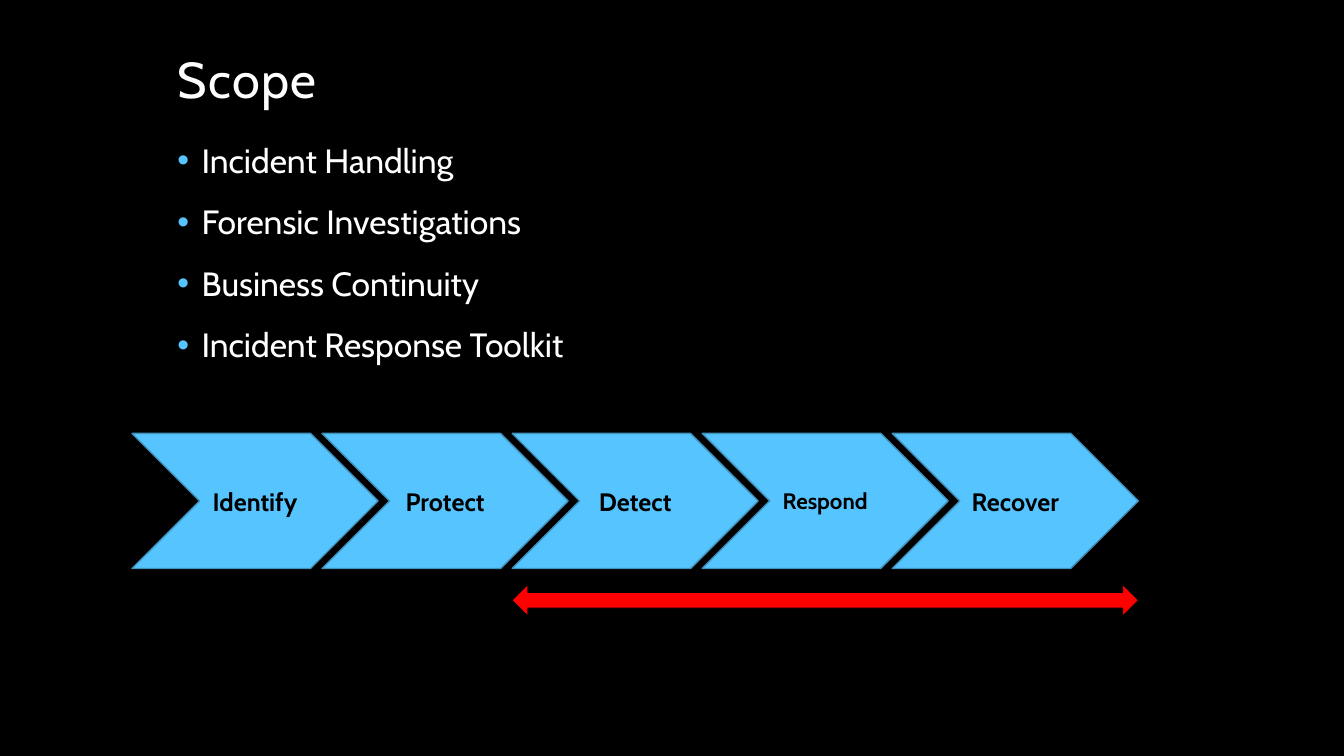
from dataclasses import dataclass

from lxml.etree import SubElement
from pptx import Presentation
from pptx.dml.color import RGBColor
from pptx.enum.shapes import MSO_SHAPE
from pptx.enum.text import MSO_ANCHOR, MSO_AUTO_SIZE, PP_ALIGN
from pptx.oxml.ns import qn
from pptx.util import Inches, Pt


@dataclass(frozen=True)
class Theme:
    """Colours, font and type sizes of the slide."""
    font: str = "Cabin"
    background: str = "000000"
    text: str = "FFFFFF"
    stage_text: str = "000000"
    accent: str = "56C5FF"
    stage_edge: str = "4092BD"
    span: str = "FF0000"
    span_edge: str = "000000"
    title_size: int = 36
    topic_size: int = 24
    stage_size: int = 18
    small_stage_size: int = 16


THEME = Theme()
SLIDE_SIZE = (13.33, 7.5)
TITLE_BOX = (1.66, 0.36, 10, 0.78)
TOPICS_BOX = (1.66, 1.38, 9.99, 4.5)
PROCESS_BOX = (1.31, 4.3, 9.98, 1.81)
TOPICS = ["Incident Handling", "Forensic Investigations",
          "Business Continuity", "Incident Response Toolkit"]
STAGES = ["Identify", "Protect", "Detect", "Respond", "Recover"]
SMALL_STAGE = "Respond"
FIRST_IN_SCOPE = "Detect"


def color(code):
    """Turn a hex code into a colour."""
    return RGBColor.from_string(code)


def write(paragraph, text, *, size, ink, bold=False, align=PP_ALIGN.LEFT,
          line=1.0, before=0, tracking=0):
    """Fill a paragraph with one formatted run."""
    paragraph.alignment = align
    paragraph.line_spacing = line
    paragraph.space_before = Pt(before)
    run = paragraph.add_run()
    run.text = text
    run.font.name = THEME.font
    run.font.size = Pt(size)
    run.font.bold = bold
    run.font.color.rgb = color(ink)
    if tracking:
        run.font._element.set("spc", str(tracking * 100))


def add_bullet(paragraph, indent=0.24):
    """Give a paragraph a coloured round bullet and hanging indent."""
    properties = paragraph._p.get_or_add_pPr()
    properties.set("marL", str(Inches(indent)))
    properties.set("indent", str(-Inches(indent)))
    bullet_color = SubElement(properties, qn("a:buClr"))
    SubElement(bullet_color, qn("a:srgbClr"), val=THEME.accent)
    SubElement(properties, qn("a:buFont"), typeface="Arial")
    SubElement(properties, qn("a:buChar"), char="•")


def place(placeholder, box, anchor):
    """Move a placeholder to its box and return its text frame."""
    (placeholder.left, placeholder.top,
     placeholder.width, placeholder.height) = map(Inches, box)
    frame = placeholder.text_frame
    frame.auto_size = MSO_AUTO_SIZE.NONE
    frame.vertical_anchor = anchor
    return frame


def add_figure(slide, kind, box, fill, edge, edge_width):
    """Add a flat preset shape."""
    figure = slide.shapes.add_shape(kind, *map(Inches, box))
    figure.shadow.inherit = False
    figure.fill.solid()
    figure.fill.fore_color.rgb = color(fill)
    figure.line.color.rgb = color(edge)
    figure.line.width = Pt(edge_width)
    return figure


def build_title(slide, box):
    """Write the slide title."""
    frame = place(slide.shapes.title, box, MSO_ANCHOR.BOTTOM)
    write(frame.paragraphs[0], "Scope", size=THEME.title_size,
          ink=THEME.text, line=0.9, tracking=1)


def build_topics(slide, box):
    """Write the bulleted topics."""
    frame = place(slide.placeholders[1], box, MSO_ANCHOR.TOP)
    for index, topic in enumerate(TOPICS):
        paragraph = frame.add_paragraph() if index else frame.paragraphs[0]
        write(paragraph, topic, size=THEME.topic_size, ink=THEME.text,
              line=0.9, before=18)
        add_bullet(paragraph)


def build_process(slide, box, stage_width=2.44, stage_height=1.34, span_height=0.31):
    """Draw the chain of stages and the arrow spanning those in scope."""
    left, top, width, height = box
    step = (width - stage_width) / (len(STAGES) - 1)
    for index, stage in enumerate(STAGES):
        stage_box = (left + index * step, top, stage_width, stage_height)
        chevron = add_figure(slide, MSO_SHAPE.CHEVRON, stage_box,
                             THEME.accent, THEME.stage_edge, 1)
        frame = chevron.text_frame
        frame.vertical_anchor = MSO_ANCHOR.MIDDLE
        size = THEME.small_stage_size if stage == SMALL_STAGE else THEME.stage_size
        write(frame.paragraphs[0], stage, size=size, ink=THEME.stage_text,
              bold=True, align=PP_ALIGN.CENTER)
    offset = STAGES.index(FIRST_IN_SCOPE) * step
    span_box = (left + offset, top + height - span_height, width - offset, span_height)
    add_figure(slide, MSO_SHAPE.LEFT_RIGHT_ARROW, span_box,
               THEME.span, THEME.span_edge, 0.5)


def main():
    """Build and save the presentation."""
    deck = Presentation()
    deck.slide_width, deck.slide_height = map(Inches, SLIDE_SIZE)
    slide = deck.slides.add_slide(deck.slide_layouts[1])
    slide.background.fill.solid()
    slide.background.fill.fore_color.rgb = color(THEME.background)
    build_title(slide, TITLE_BOX)
    build_topics(slide, TOPICS_BOX)
    build_process(slide, PROCESS_BOX)
    deck.save("out.pptx")


if __name__ == "__main__":
    main()
